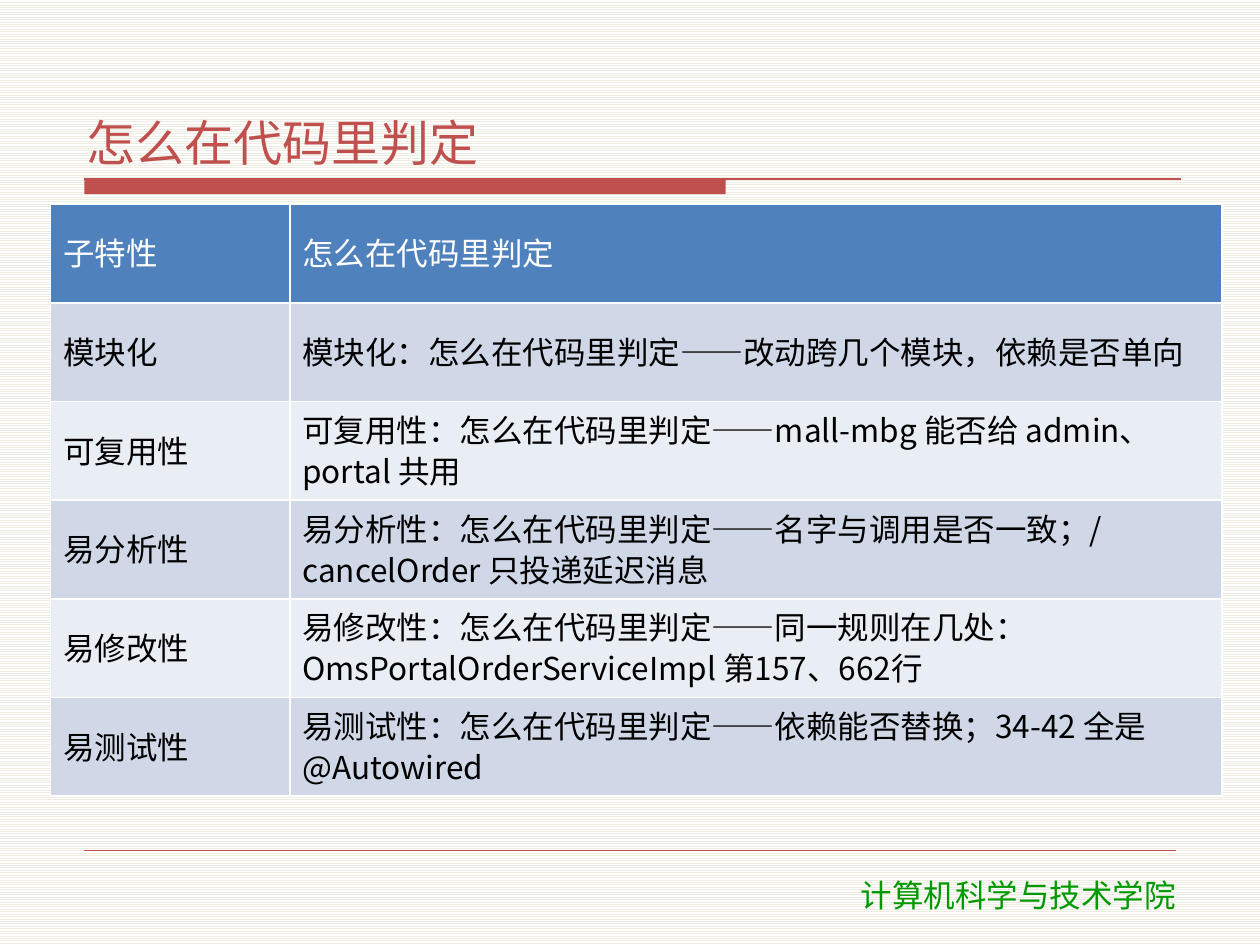
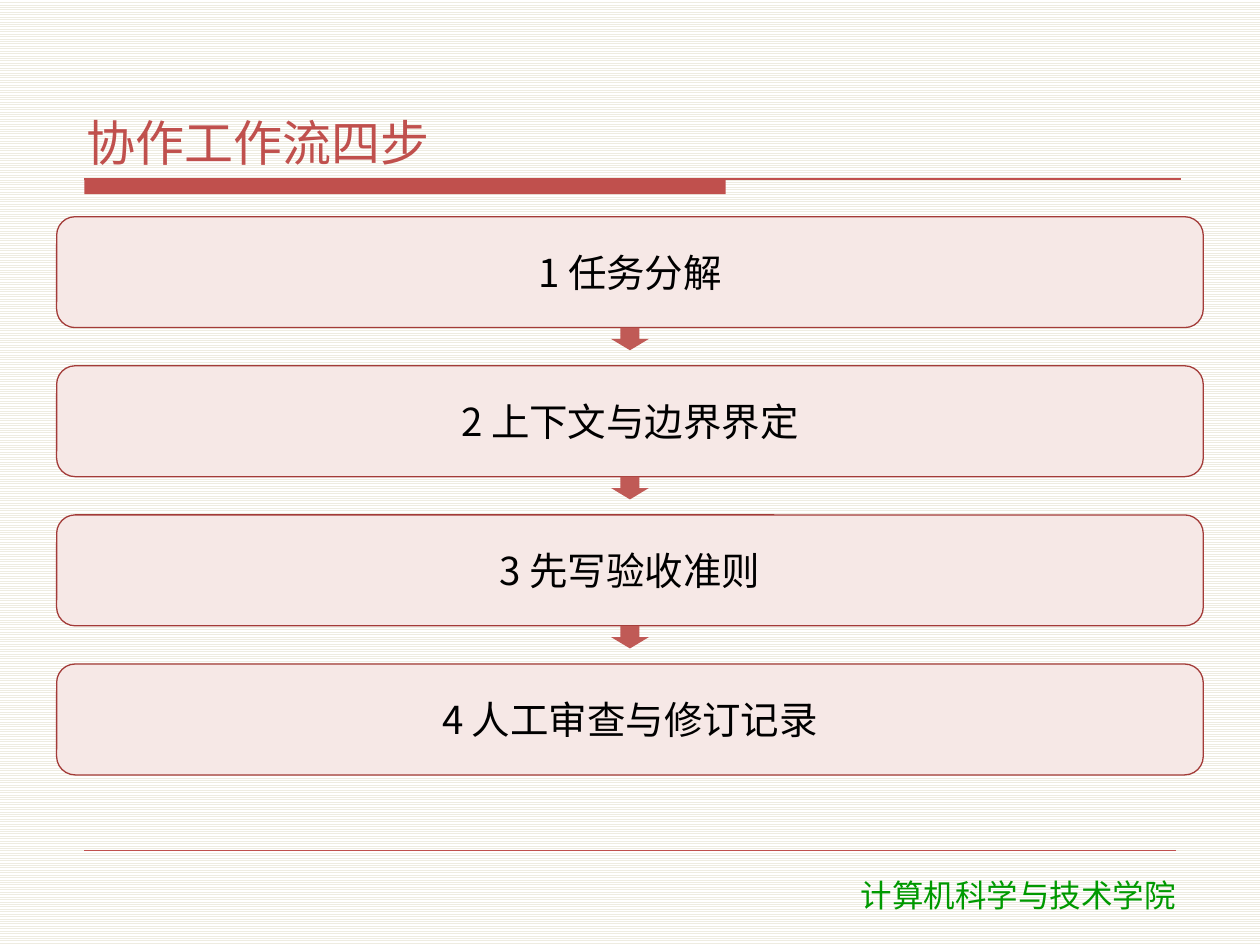
import pptx
import pptx.util
import pptx.dml.color
import pptx.enum.dml
import pptx.enum.shapes
import pptx.enum.text
import pptx.oxml
import pptx.oxml.ns

EMU_PER_PX = 9144  # 100 px to the inch
COLORS = {
    "paper": "FFFFFF", "paper_line": "EEECE1", "accent": "C0504D",
    "school": "009900", "ink": "000000", "white": "FFFFFF",
    "header": "4F81BD", "band_odd": "D0D8E8", "band_even": "E9EDF4",
    "step": "F6E8E6", "step_edge": "A33B38", "arrow": "C05A56",
}
FONT, SCHOOL_FONT = "Noto Sans CJK SC", "DejaVu Sans"
ALIGN, ANCHOR = pptx.enum.text.PP_ALIGN, pptx.enum.text.MSO_ANCHOR
SHAPE = pptx.enum.shapes.MSO_SHAPE


def px(length):
    return pptx.util.Emu(round(length * EMU_PER_PX))


def rgb(name):
    return pptx.dml.color.RGBColor.from_string(COLORS[name])


def write(frame, text, size, color="ink", font=FONT, align=ALIGN.LEFT,
          anchor=ANCHOR.MIDDLE, after=2, spacing=None):
    """Put one formatted paragraph into a text frame."""
    frame.word_wrap = True
    frame.vertical_anchor = anchor
    paragraph = frame.paragraphs[0]
    paragraph.alignment = align
    paragraph.space_after = pptx.util.Pt(after)
    if spacing:
        paragraph.line_spacing = spacing
    run = paragraph.add_run()
    run.text = text
    run.font.size = pptx.util.Pt(size)
    run.font.bold = False
    run.font.name = font
    run.font.color.rgb = rgb(color)
    east_asian = pptx.oxml.parse_xml(
        f'<a:ea {pptx.oxml.ns.nsdecls("a")} typeface="{font}"/>')
    run.font._element.append(east_asian)


def tighten(frame):
    frame.margin_left = frame.margin_right = px(6)
    frame.margin_top = frame.margin_bottom = px(2)


class Deck:
    def __init__(self):
        self.presentation = pptx.Presentation()
        self.presentation.slide_width = px(1000)
        self.presentation.slide_height = px(750)
        self.slide = None

    def new_slide(self, title):
        """Start a slide with the shared background, title, band and footer."""
        blank = self.presentation.slide_layouts[6]
        self.slide = self.presentation.slides.add_slide(blank)
        paper = self.slide.background.fill
        paper.patterned()
        paper.pattern = pptx.enum.dml.MSO_PATTERN.LIGHT_HORIZONTAL
        paper.fore_color.rgb = rgb("paper_line")
        paper.back_color.rgb = rgb("paper")

        self.shape(SHAPE.RECTANGLE, 67, 142, 509, 12, "accent")
        self.rule(67, 937, 142, 0.75)
        self.rule(67, 933, 675, 0.25)
        school = self.text_box(607, 690, 402, 40)
        write(school, "计算机科学与技术学院", 18, color="school",
              font=SCHOOL_FONT, align=ALIGN.CENTER, anchor=ANCHOR.TOP, after=0)
        heading = self.text_box(63, 33, 875, 105)
        tighten(heading)
        write(heading, title, 28, color="accent", anchor=ANCHOR.BOTTOM)

    def text_box(self, left, top, width, height):
        box = self.slide.shapes.add_textbox(
            px(left), px(top), px(width), px(height))
        return box.text_frame

    def shape(self, kind, left, top, width, height, fill, edge=None):
        shape = self.slide.shapes.add_shape(
            kind, px(left), px(top), px(width), px(height))
        shape.shadow.inherit = False
        shape.fill.solid()
        shape.fill.fore_color.rgb = rgb(fill)
        if edge:
            shape.line.color.rgb = rgb(edge)
            shape.line.width = pptx.util.Pt(0.75)
        else:
            shape.line.fill.background()
        return shape

    def rule(self, left, right, y, weight):
        line = self.slide.shapes.add_connector(
            pptx.enum.shapes.MSO_CONNECTOR.STRAIGHT,
            px(left), px(y), px(right), px(y))
        line.line.color.rgb = rgb("accent")
        line.line.width = pptx.util.Pt(weight)
        line._element.spPr.append(pptx.oxml.parse_xml(
            f'<a:effectLst {pptx.oxml.ns.nsdecls("a")}/>'))

    def table(self, left, top, widths, height, rows):
        table = self.slide.shapes.add_table(
            len(rows), len(widths), px(left), px(top),
            px(sum(widths)), px(height)).table
        for column, width in zip(table.columns, widths):
            column.width = px(width)
        for r, row in enumerate(rows):
            table.rows[r].height = px(height / len(rows))
            band = "header" if r == 0 else "band_odd" if r % 2 else "band_even"
            for c, text in enumerate(row):
                cell = table.cell(r, c)
                self.cell_borders(cell)
                cell.fill.solid()
                cell.fill.fore_color.rgb = rgb(band)
                cell.vertical_anchor = ANCHOR.MIDDLE
                write(cell.text_frame, text, 18, spacing=0.9, anchor=None,
                      color="ink" if r else "white")

    def cell_borders(self, cell):
        properties = cell._tc.get_or_add_tcPr()
        for side in ("lnL", "lnR", "lnT", "lnB"):
            properties.append(pptx.oxml.parse_xml(
                f'<a:{side} {pptx.oxml.ns.nsdecls("a")} w="12700"><a:solidFill>'
                f'<a:srgbClr val="{COLORS["white"]}"/></a:solidFill></a:{side}>'))

    def flow(self, left, top, width, bottom, step_height, steps):
        """Stack numbered steps evenly, with an arrow under all but the last."""
        pitch = (bottom - top - step_height) / (len(steps) - 1)
        arrow_width, arrow_height = 30, 18
        for i, text in enumerate(steps):
            y = top + i * pitch
            step = self.shape(SHAPE.ROUNDED_RECTANGLE, left, y, width,
                              step_height, "step", edge="step_edge")
            tighten(step.text_frame)
            write(step.text_frame, f"{i + 1} {text}", 22, align=ALIGN.CENTER)
            if i < len(steps) - 1:
                self.shape(SHAPE.DOWN_ARROW, left + (width - arrow_width) / 2,
                           y + step_height, arrow_width, arrow_height, "arrow")


def main():
    deck = Deck()

    # Criteria table
    question = "怎么在代码里判定"
    criteria = {
        "模块化": "改动跨几个模块，依赖是否单向",
        "可复用性": "mall-mbg 能否给 admin、portal 共用",
        "易分析性": "名字与调用是否一致；/cancelOrder 只投递延迟消息",
        "易修改性": "同一规则在几处：OmsPortalOrderServiceImpl 第157、662行",
        "易测试性": "依赖能否替换；34-42 全是 @Autowired",
    }
    deck.new_slide(question)
    deck.table(40, 162, (190, 740), 470, [("子特性", question)] + [
        (trait, f"{trait}：{question}——{check}")
        for trait, check in criteria.items()])

    # Workflow steps
    deck.new_slide("协作工作流四步")
    deck.flow(45, 172, 910, 615, 88, [
        "任务分解", "上下文与边界界定", "先写验收准则", "人工审查与修订记录"])

    deck.presentation.save("out.pptx")


if __name__ == "__main__":
    main()
